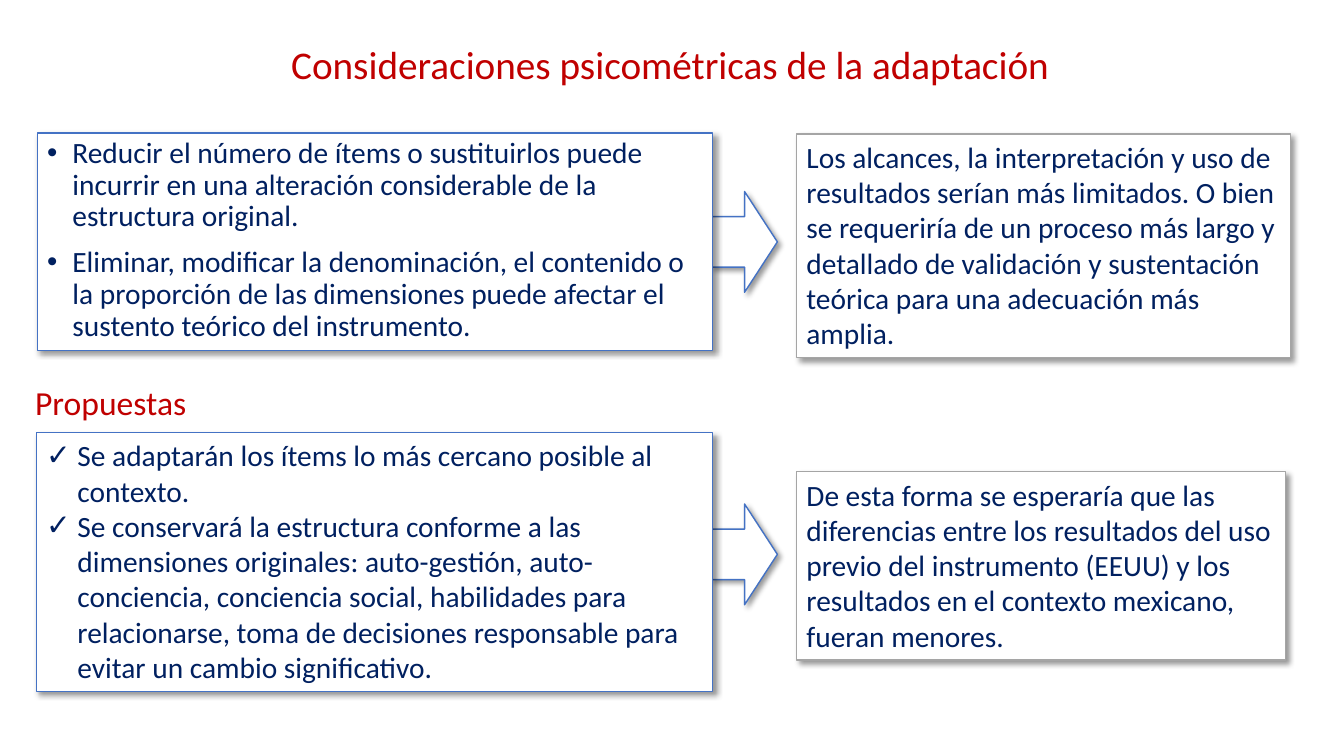
import pptx
import pptx.dml.color
import pptx.enum.shapes
import pptx.enum.text
import pptx.oxml
import pptx.oxml.ns
import pptx.util
from pptx.util import Inches

RED = pptx.dml.color.RGBColor(0xC0, 0x00, 0x00)
NAVY = pptx.dml.color.RGBColor(0x00, 0x20, 0x60)
BLUE = pptx.dml.color.RGBColor(0x44, 0x72, 0xC4)
GRAY = pptx.dml.color.RGBColor(0xA5, 0xA5, 0xA5)
WHITE = pptx.dml.color.RGBColor(0xFF, 0xFF, 0xFF)

SHAPES = pptx.enum.shapes.MSO_SHAPE
ALIGN = pptx.enum.text.PP_ALIGN
ANCHOR = pptx.enum.text.MSO_ANCHOR
AUTO_SIZE = pptx.enum.text.MSO_AUTO_SIZE

BODY_FONT = {"name": "Calibri", "size": pptx.util.Pt(21)}
TITLE_FONT = {"name": "Calibri", "size": pptx.util.Pt(28)}
SUBTITLE_FONT = {"name": "Calibri", "size": pptx.util.Pt(24)}

SHADOW = (
    '<a:outerShdw {} blurRad="50800" dist="38100" dir="2700000" algn="tl" rotWithShape="0">'
    '<a:srgbClr val="000000"><a:alpha val="40000"/></a:srgbClr></a:outerShdw>'
).format(pptx.oxml.ns.nsdecls("a"))


def apply_format(target, values):
    for name, value in values.items():
        setattr(target, name, value)


def add_bullet(paragraph, character, indent):
    properties = paragraph._p.get_or_add_pPr()
    properties.set("marL", str(Inches(indent)))
    properties.set("indent", str(-Inches(indent)))
    namespace = pptx.oxml.ns.nsdecls("a")
    for xml in (f'<a:buFont {namespace} typeface="Arial"/>',
                f'<a:buChar {namespace} char="{character}"/>'):
        properties.append(pptx.oxml.parse_xml(xml))


def write_text(shape, texts, font, color, paragraph_format, bullet=None, gap=0):
    frame = shape.text_frame
    for index, text in enumerate(texts):
        paragraph = frame.paragraphs[0] if index == 0 else frame.add_paragraph()
        if bullet:
            add_bullet(paragraph, *bullet)
        apply_format(paragraph, paragraph_format)
        if index and gap:
            paragraph.space_before = pptx.util.Pt(gap)
        run = paragraph.add_run()
        run.text = text
        apply_format(run.font, font)
        run.font.color.rgb = color


def add_shadowed_shape(slide, kind, place, line_color):
    shape = slide.shapes.add_shape(kind, *map(Inches, place))
    shape.fill.solid()
    shape.fill.fore_color.rgb = WHITE
    shape.line.color.rgb = line_color
    shape.line.width = pptx.util.Pt(1)
    shape.shadow.inherit = False
    effects = shape._element.spPr.find(pptx.oxml.ns.qn("a:effectLst"))
    effects.append(pptx.oxml.parse_xml(SHADOW))
    return shape


def add_panel(slide, place, line_color, texts, bullet=None, line_spacing=1.0, gap=0):
    panel = add_shadowed_shape(slide, SHAPES.RECTANGLE, place, line_color)
    apply_format(panel.text_frame, {"word_wrap": True, "vertical_anchor": ANCHOR.TOP})
    paragraph_format = {"alignment": ALIGN.LEFT, "line_spacing": line_spacing}
    write_text(panel, texts, BODY_FONT, NAVY, paragraph_format, bullet, gap)


def add_heading(slide, place, text, font, alignment, wrap):
    heading = slide.shapes.add_textbox(*map(Inches, place))
    apply_format(heading.text_frame, {"word_wrap": wrap, "auto_size": AUTO_SIZE.SHAPE_TO_FIT_TEXT})
    write_text(heading, [text], font, RED, {"alignment": alignment})


def main():
    presentation = pptx.Presentation()
    presentation.slide_width = Inches(13.33)
    presentation.slide_height = Inches(7.5)
    slide = presentation.slides.add_slide(presentation.slide_layouts[6])

    # Arrows from causes to consequences
    for top in (5, 1.9):
        add_shadowed_shape(slide, SHAPES.RIGHT_ARROW, (7.06, top, 0.65, 1), BLUE)

    # Psychometric considerations
    add_heading(slide, (0.25, 0.35, 12.79, 0.57),
                "Consideraciones psicométricas de la adaptación", TITLE_FONT, ALIGN.CENTER, True)
    add_panel(slide, (0.37, 1.32, 6.7, 2.16), BLUE, [
        "Reducir el número de ítems o sustituirlos puede incurrir en una alteración "
        "considerable de la estructura original.",
        "Eliminar, modificar la denominación, el contenido o la proporción de las "
        "dimensiones puede afectar el sustento teórico del instrumento.",
    ], bullet=("•", 0.25), line_spacing=0.9, gap=10)
    add_panel(slide, (7.9, 1.33, 4.9, 2.22), GRAY, [
        "Los alcances, la interpretación y uso de resultados serían más limitados. O bien "
        "se requeriría de un proceso más largo y detallado de validación y sustentación "
        "teórica para una adecuación más amplia.",
    ])

    # Proposals
    add_heading(slide, (0.25, 3.74, 1.72, 0.5), "Propuestas", SUBTITLE_FONT, ALIGN.JUSTIFY, False)
    add_panel(slide, (0.36, 4.29, 6.71, 2.57), BLUE, [
        "Se adaptarán los ítems lo más cercano posible al contexto.",
        "Se conservará la estructura conforme a las dimensiones originales: auto-gestión, "
        "auto-conciencia, conciencia social, habilidades para relacionarse, toma de "
        "decisiones responsable para evitar un cambio significativo.",
    ], bullet=("✓", 0.31))
    add_panel(slide, (7.9, 4.68, 4.85, 1.87), GRAY, [
        "De esta forma se esperaría que las diferencias entre los resultados del uso previo "
        "del instrumento (EEUU) y los resultados en el contexto mexicano, fueran menores.",
    ])

    presentation.save("out.pptx")


if __name__ == "__main__":
    main()
